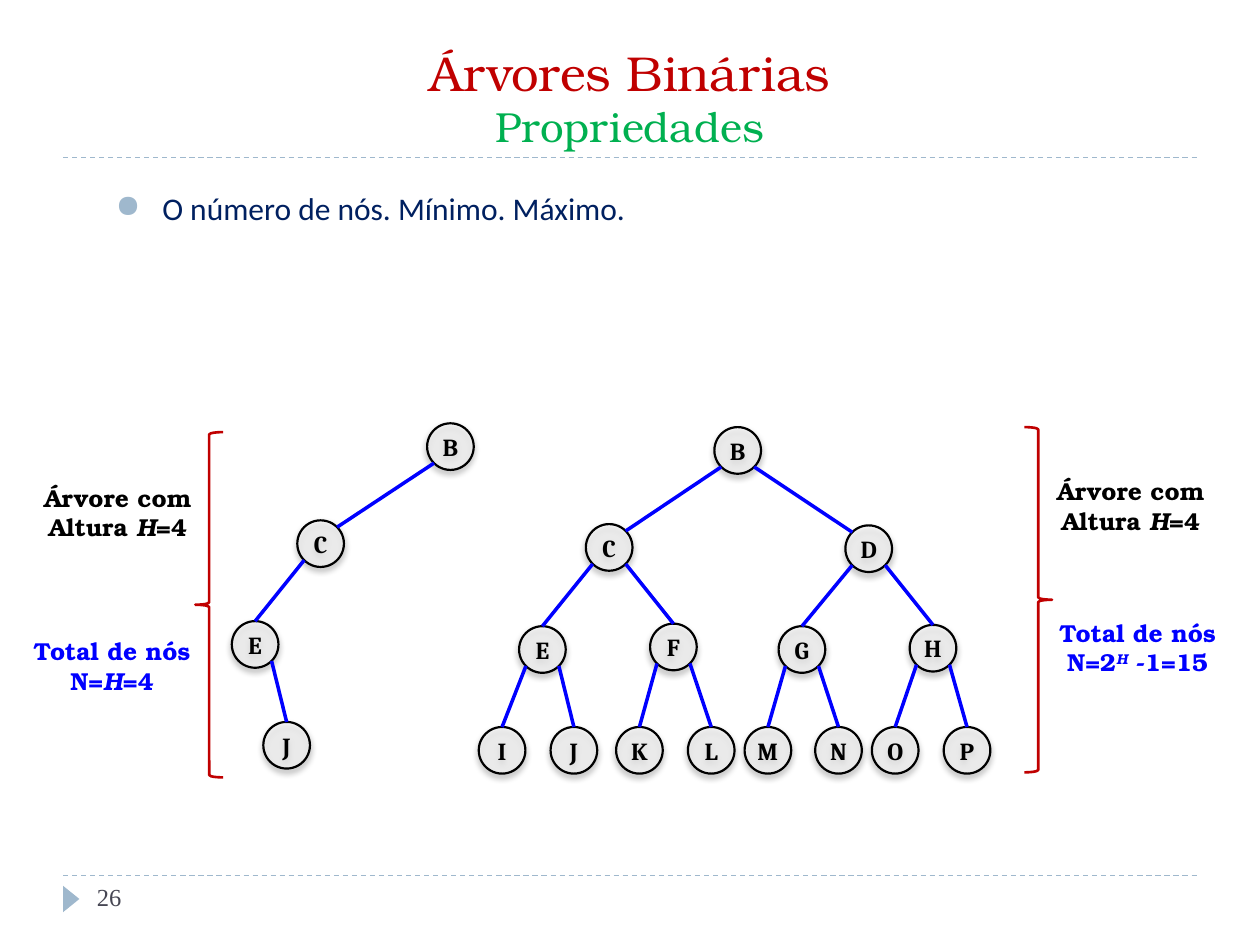
import math
from dataclasses import dataclass

import pptx
import pptx.dml.color
import pptx.enum.dml
import pptx.enum.shapes
import pptx.enum.text
import pptx.oxml
import pptx.oxml.ns
import pptx.util

Inches = pptx.util.Inches
Align = pptx.enum.text.PP_ALIGN
Anchor = pptx.enum.text.MSO_ANCHOR
Shape = pptx.enum.shapes.MSO_SHAPE


@dataclass(frozen=True)
class Theme:
    black: str = "000000"
    white: str = "FFFFFF"
    red: str = "C00000"
    green: str = "00B050"
    blue: str = "0000FF"
    navy: str = "002060"
    accent: str = "9FB8CD"
    slate: str = "464653"
    title_size: int = 28
    subtitle_size: int = 24
    body_size: int = 18
    small_size: int = 14
    serif: str = "TeX Gyre Bonum"
    body: str = "Calibri"
    node: str = "Cambria"
    number: str = "Times New Roman"


THEME = Theme()
NODE = 0.37
TITLE = [
    ("Árvores Binárias", THEME.title_size, THEME.red),
    ("Propriedades", THEME.subtitle_size, THEME.green),
]
BULLET = "O número de nós. Mínimo. Máximo."
PAGE_NUMBER = "26"
RULES = [1.25, 6.95]

CHAIN = {
    "B": (3.39, 3.36, None),
    "C": (2.36, 4.13, "B"),
    "E": (1.84, 4.93, "C"),
    "J": (2.09, 5.73, "E"),
}
FULL = {
    "B": (5.67, 3.39, None),
    "C": (4.65, 4.16, "B"),
    "D": (6.71, 4.17, "B"),
    "E": (4.12, 4.97, "C"),
    "F": (5.16, 4.95, "C"),
    "G": (6.18, 4.97, "D"),
    "H": (7.22, 4.96, "D"),
    "I": (3.80, 5.77, "E"),
    "J": (4.37, 5.77, "E"),
    "K": (4.89, 5.77, "F"),
    "L": (5.46, 5.77, "F"),
    "M": (5.91, 5.77, "G"),
    "N": (6.47, 5.77, "G"),
    "O": (6.92, 5.77, "H"),
    "P": (7.49, 5.77, "H"),
}
BRACES = [(1.55, 3.43, False), (8.13, 3.39, True)]
HEIGHT = [[("Árvore com", "")], [("Altura ", ""), ("H", "italic"), ("=4", "")]]
MINIMUM = [[("Total de nós", "")], [("N=", ""), ("H", "italic"), ("=4", "")]]
MAXIMUM = [[("Total de nós", "")], [("N=2", ""), ("H", "power"), (" -1=15", "")]]
LABELS = [
    (0.24, 3.78, 1.39, THEME.black, HEIGHT),
    (0.06, 5.00, 1.66, THEME.blue, MINIMUM),
    (8.28, 3.73, 1.39, THEME.black, HEIGHT),
    (8.20, 4.85, 1.66, THEME.blue, MAXIMUM),
]
SHADOW = (
    '<a:effectLst %s><a:outerShdw blurRad="44450" dist="27940" dir="5400000" algn="ctr">'
    '<a:srgbClr val="%s"><a:alpha val="32000"/></a:srgbClr></a:outerShdw></a:effectLst>'
    % (pptx.oxml.ns.nsdecls("a"), THEME.black)
)


def rgb(value):
    return pptx.dml.color.RGBColor.from_string(value)


def append_xml(parent, text):
    parent.append(pptx.oxml.parse_xml(text))


def style_font(font, name, size, color, bold=None):
    font.name = name
    font.size = pptx.util.Pt(size)
    font.color.rgb = rgb(color)
    font.bold = bold


def style_line(line, color, width):
    line.color.rgb = rgb(color)
    line.width = pptx.util.Pt(width)


def add_text_box(page, left, top, width, height, anchor=Anchor.TOP):
    box = page.shapes.add_textbox(Inches(left), Inches(top), Inches(width), Inches(height))
    box.text_frame.word_wrap = True
    box.text_frame.vertical_anchor = anchor
    return box.text_frame


def add_line(page, start, end, color, width):
    ends = [Inches(value) for value in (*start, *end)]
    line = page.shapes.add_connector(pptx.enum.shapes.MSO_CONNECTOR.STRAIGHT, *ends)
    style_line(line.line, color, width)
    append_xml(line._element.spPr, "<a:effectLst %s/>" % pptx.oxml.ns.nsdecls("a"))
    return line


def add_shape(page, kind, left, top, width, height):
    shape = page.shapes.add_shape(kind, Inches(left), Inches(top), Inches(width), Inches(height))
    shape.shadow.inherit = False
    return shape


def add_node(page, label, left, top):
    node = add_shape(page, Shape.OVAL, left, top, NODE, NODE)
    node.fill.solid()
    node.fill.fore_color.rgb = rgb(THEME.white)
    properties = node._element.spPr
    fill = properties.find(".//" + pptx.oxml.ns.qn("a:srgbClr"))
    append_xml(fill, '<a:alpha %s val="50000"/>' % pptx.oxml.ns.nsdecls("a"))
    style_line(node.line, THEME.black, 1.25)
    properties.remove(properties.find(pptx.oxml.ns.qn("a:effectLst")))
    append_xml(properties, SHADOW)
    frame = node.text_frame
    frame.margin_left = frame.margin_right = frame.margin_top = frame.margin_bottom = 0
    frame.vertical_anchor = Anchor.MIDDLE
    para = frame.paragraphs[0]
    para.text = label
    para.alignment = Align.CENTER
    style_font(para.font, THEME.node, THEME.small_size, THEME.black, True)
    return node


def add_tree(page, tree):
    reach = NODE / 2 * math.sqrt(0.5)
    nodes = {label: add_node(page, label, left, top) for label, (left, top, _) in tree.items()}
    for label, (left, top, parent) in tree.items():
        if parent is None:
            continue
        parent_left, parent_top, grandparent = tree[parent]
        side = math.copysign(reach, left - parent_left)
        half = NODE / 2
        start = (parent_left + half + side, parent_top + half + reach)
        end = (left + half - side, top + half - reach)
        edge = add_line(page, start, end, THEME.blue, 2)
        if grandparent is not None:
            edge.end_connect(nodes[label], 0)


def add_label(page, left, top, width, color, lines):
    frame = add_text_box(page, left, top, width, 0.57, Anchor.MIDDLE)
    frame.auto_size = pptx.enum.text.MSO_AUTO_SIZE.SHAPE_TO_FIT_TEXT
    for index, spans in enumerate(lines):
        para = frame.add_paragraph() if index else frame.paragraphs[0]
        para.alignment = Align.CENTER
        style_font(para.font, THEME.serif, THEME.small_size, color, True)
        for text, style in spans:
            span = para.add_run()
            span.text = text
            if style:
                span.font.italic = True
            if style == "power":
                span._r.get_or_add_rPr().set("baseline", "30000")


def add_frame(page):
    for y in RULES:
        rule = add_line(page, (0.5, y), (9.5, y), THEME.accent, 0.75)
        rule.line.dash_style = pptx.enum.dml.MSO_LINE.DASH
    marker = add_shape(page, Shape.ISOSCELES_TRIANGLE, 0.46, 7.07, 0.21, 0.13)
    marker.rotation = 90
    marker.fill.solid()
    marker.fill.fore_color.rgb = rgb(THEME.accent)
    marker.line.fill.background()
    para = add_text_box(page, 0.67, 6.95, 2.17, 0.4).paragraphs[0]
    para.text = PAGE_NUMBER
    style_font(para.font, THEME.number, THEME.small_size, THEME.slate)


def add_heading(page):
    para = add_text_box(page, 0.5, 0.25, 9, 1, Anchor.BOTTOM).paragraphs[0]
    para.alignment = Align.CENTER
    for index, (text, size, color) in enumerate(TITLE):
        if index:
            para.add_line_break()
        span = para.add_run()
        span.text = text
        style_font(span.font, THEME.serif, size, color)
    para = add_text_box(page, 0.82, 1.45, 8.5, 0.43).paragraphs[0]
    para.text = BULLET
    para.alignment = Align.JUSTIFY
    properties = para._p.get_or_add_pPr()
    properties.set("marL", str(Inches(0.37)))
    properties.set("indent", str(Inches(-0.37)))
    space = pptx.oxml.ns.nsdecls("a")
    append_xml(properties, '<a:buClr %s><a:srgbClr val="%s"/></a:buClr>' % (space, THEME.accent))
    append_xml(properties, '<a:buChar %s char="●"/>' % space)
    style_font(para.font, THEME.body, THEME.body_size, THEME.navy)


def main():
    deck = pptx.Presentation()
    deck.slide_width, deck.slide_height = Inches(10), Inches(7.5)
    page = deck.slides.add_slide(deck.slide_layouts[6])
    add_frame(page)
    add_heading(page)
    for tree in (CHAIN, FULL):
        add_tree(page, tree)
    for left, top, mirrored in BRACES:
        kind = Shape.RIGHT_BRACE if mirrored else Shape.LEFT_BRACE
        brace = add_shape(page, kind, left, top, 0.22, 2.74)
        brace.fill.background()
        style_line(brace.line, THEME.red, 1.5)
    for label in LABELS:
        add_label(page, *label)
    deck.save("out.pptx")


if __name__ == "__main__":
    main()
